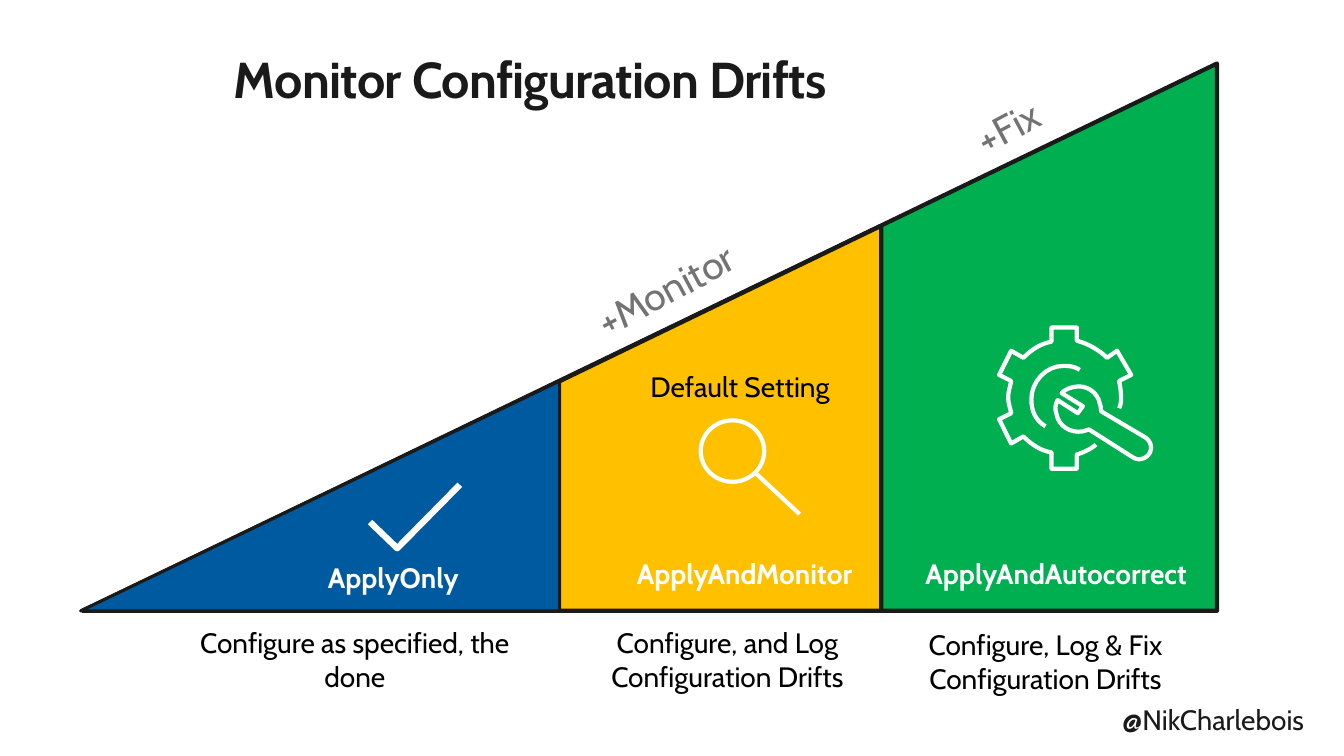
from pptx import Presentation
from pptx.dml.color import RGBColor
from pptx.enum.shapes import MSO_CONNECTOR as Connector, MSO_SHAPE as Shape
from pptx.enum.text import MSO_ANCHOR as Anchor, MSO_AUTO_SIZE as AutoSize, PP_ALIGN as Align
from pptx.oxml.ns import qn
from pptx.util import Inches, Pt
from lxml.etree import SubElement

FONT = "Cabin"
WHITE, BLACK, INK, GRAY = "FFFFFF", "000000", "1A1A1A", "737373"
BASELINE = 6.06

WEDGES = [
    (0.82, 11.25, 5.43, "00B050", 3),
    (0.84, 7.9, 3.82, "FFC000", 3),
    (0.8, 4.75, 2.28, "005A9F", 2.25),
]
STAGES = [
    ("ApplyOnly", (2.69, 5.56, 2.42, 0.34),
     "Configure as specified, the done", (1.79, 6.21, 3.46, 1.01)),
    ("ApplyAndMonitor", (5.9, 5.52, 2.97, 0.34),
     "Configure, and Log Configuration Drifts", (5.81, 6.21, 2.81, 1.01)),
    ("ApplyAndAutocorrect", (8.99, 5.52, 2.97, 0.34),
     "Configure, Log & Fix Configuration Drifts", (8.74, 6.23, 3.26, 1.01)),
]
GEAR_RIM = [
    (0.96, 1.16), (0.91, 1.21, 0.83, 1.24, 0.77, 1.26), (0.77, 1.4), (0.52, 1.4),
    (0.52, 1.24), (0.41, 1.22, 0.32, 1.16, 0.24, 1.08), (0.12, 1.15), (0, 0.91),
    (0.12, 0.85), (0.11, 0.8, 0.09, 0.75, 0.09, 0.69),
    (0.09, 0.64, 0.11, 0.58, 0.12, 0.53), (0, 0.47), (0.12, 0.23), (0.24, 0.3),
    (0.32, 0.22, 0.41, 0.16, 0.52, 0.14), (0.52, 0), (0.77, 0), (0.77, 0.13),
    (0.88, 0.16, 0.99, 0.22, 1.07, 0.3), (1.17, 0.23), (1.31, 0.47), (1.19, 0.53),
    (1.2, 0.58, 1.21, 0.64, 1.21, 0.69), (1.21, 0.72, 1.21, 0.76, 1.19, 0.8),
]
GEAR_HUB = [
    (0.8, 0.42), (0.75, 0.39, 0.71, 0.38, 0.64, 0.38),
    (0.46, 0.38, 0.32, 0.54, 0.32, 0.71), (0.32, 0.83, 0.36, 0.92, 0.46, 0.98),
]
WRENCH = [
    (0.89, 1.01), (1.33, 1.29), (1.38, 1.32, 1.45, 1.31, 1.49, 1.25),
    (1.52, 1.2, 1.51, 1.13, 1.45, 1.09), (1.01, 0.83),
    (1.01, 0.81, 1.01, 0.78, 1, 0.76), (0.98, 0.64, 0.86, 0.56, 0.74, 0.59),
    (0.69, 0.6, 0.65, 0.62, 0.62, 0.65), (0.83, 0.78), (0.78, 0.85), (0.58, 0.72),
    (0.56, 0.76, 0.55, 0.81, 0.57, 0.86), (0.59, 0.98, 0.71, 1.05, 0.83, 1.03),
    (0.86, 1.02, 0.87, 1.02, 0.89, 1.01),
]


def color(value):
    """Turn a hex string into a colour."""
    return RGBColor.from_string(value)


def inches(values):
    """Convert a series of numbers to inch lengths."""
    return [Inches(value) for value in values]


def set_line(shape, value, width):
    """Colour and size the outline of a shape."""
    shape.line.color.rgb = color(value)
    shape.line.width = Pt(width)


def write(shape, text, size, value, bold=False, align=Align.LEFT):
    """Fill a text shape with one formatted run and no insets."""
    frame = shape.text_frame
    frame.word_wrap = True
    frame.auto_size = AutoSize.NONE
    frame.margin_left = frame.margin_right = frame.margin_top = frame.margin_bottom = 0
    paragraph = frame.paragraphs[0]
    paragraph.alignment = align
    run = paragraph.add_run()
    run.text = text
    run.font.name, run.font.size, run.font.bold = FONT, Pt(size), bold
    run.font.color.rgb = color(value)
    return run


def add_text(slide, box, text, size, value, bold=False, align=Align.LEFT, rotation=0):
    """Add a text box, turned if asked."""
    shape = slide.shapes.add_textbox(*inches(box))
    shape.rotation = rotation
    write(shape, text, size, value, bold, align)


def add_title(slide, box, text):
    """Place and format the title placeholder."""
    title = slide.shapes.title
    title.left, title.top, title.width, title.height = inches(box)
    run = write(title, text, 36, INK, bold=True)
    title.text_frame.vertical_anchor = Anchor.BOTTOM
    run.font._element.set("spc", "-50")


def add_wedge(slide, left, run, rise, fill, width):
    """Add a right triangle that climbs from its left tip on the baseline."""
    box = (left + (run - rise) / 2, BASELINE - (rise + run) / 2, rise, run)
    shape = slide.shapes.add_shape(Shape.RIGHT_TRIANGLE, *inches(box))
    shape.rotation = 270
    shape.shadow.inherit = False
    shape.fill.solid()
    shape.fill.fore_color.rgb = color(fill)
    set_line(shape, INK, width)


def add_stage(slide, name, name_box, caption, caption_box):
    """Add the name inside a wedge and the caption below it."""
    add_text(slide, name_box, name, 20, WHITE, True, Align.CENTER)
    add_text(slide, caption_box, caption, 20, BLACK, align=Align.CENTER)


def flatten(outline, steps=8):
    """Turn corners and cubic curves into a list of points."""
    points = [outline[0]]
    for part in outline[1:]:
        if len(part) == 2:
            points.append(part)
            continue
        controls = [points[-1], part[:2], part[2:4], part[4:]]
        for step in range(1, steps + 1):
            t = step / steps
            weights = ((1 - t) ** 3, 3 * t * (1 - t) ** 2, 3 * t * t * (1 - t), t ** 3)
            points.append(tuple(
                sum(weight * control[axis] for weight, control in zip(weights, controls))
                for axis in (0, 1)))
    return points


def add_strokes(slide, left, top, outlines, width, closed_last=False):
    """Draw white outlines as one unfilled freeform."""
    builder = None
    for index, outline in enumerate(outlines):
        points = [(Inches(left + x), Inches(top + y)) for x, y in flatten(outline)]
        if builder is None:
            builder = slide.shapes.build_freeform(*points[0])
        else:
            builder.move_to(*points[0])
        closed = closed_last and index == len(outlines) - 1
        builder.add_line_segments(points[1:], close=closed)
    shape = builder.convert_to_shape()
    shape.shadow.inherit = False
    shape.fill.background()
    set_line(shape, WHITE, width)


def add_magnifier(slide, left, top):
    """Draw a lens and its handle."""
    lens = slide.shapes.add_shape(Shape.OVAL, *inches((left, top, 0.63, 0.61)))
    lens.shadow.inherit = False
    lens.fill.background()
    set_line(lens, WHITE, 3)
    ends = inches((left + 0.54, top + 0.52, left + 0.98, top + 0.93))
    handle = slide.shapes.add_connector(Connector.STRAIGHT, *ends)
    SubElement(handle._element.spPr, qn("a:effectLst"))
    set_line(handle, WHITE, 3)


def main():
    """Build and save the slide."""
    presentation = Presentation()
    presentation.slide_width, presentation.slide_height = inches((13.33, 7.5))
    slide = presentation.slides.add_slide(presentation.slide_layouts[5])
    add_title(slide, (2.32, 0.47, 10, 0.61), "Monitor Configuration Drifts")
    for wedge in WEDGES:
        add_wedge(slide, *wedge)
    for stage in STAGES:
        add_stage(slide, *stage)
    add_strokes(slide, 3.67, 4.81, [[(0.89, 0), (0.27, 0.63), (0, 0.37)]], 4.5)
    add_magnifier(slide, 6.95, 4.17)
    add_strokes(slide, 9.91, 3.25, [GEAR_RIM, GEAR_HUB, WRENCH], 3, closed_last=True)
    add_text(slide, (5.8, 2.38, 2.55, 0.47), "+Monitor", 28, GRAY, rotation=331.8)
    add_text(slide, (9.56, 0.57, 2.55, 0.47), "+Fix", 28, GRAY, rotation=331.8)
    add_text(slide, (6.45, 3.67, 3.32, 0.34), "Default Setting", 20, BLACK)
    add_text(slide, (11.13, 6.97, 2.17, 0.34), "@NikCharlebois", 20, INK)
    presentation.save("out.pptx")


if __name__ == "__main__":
    main()
